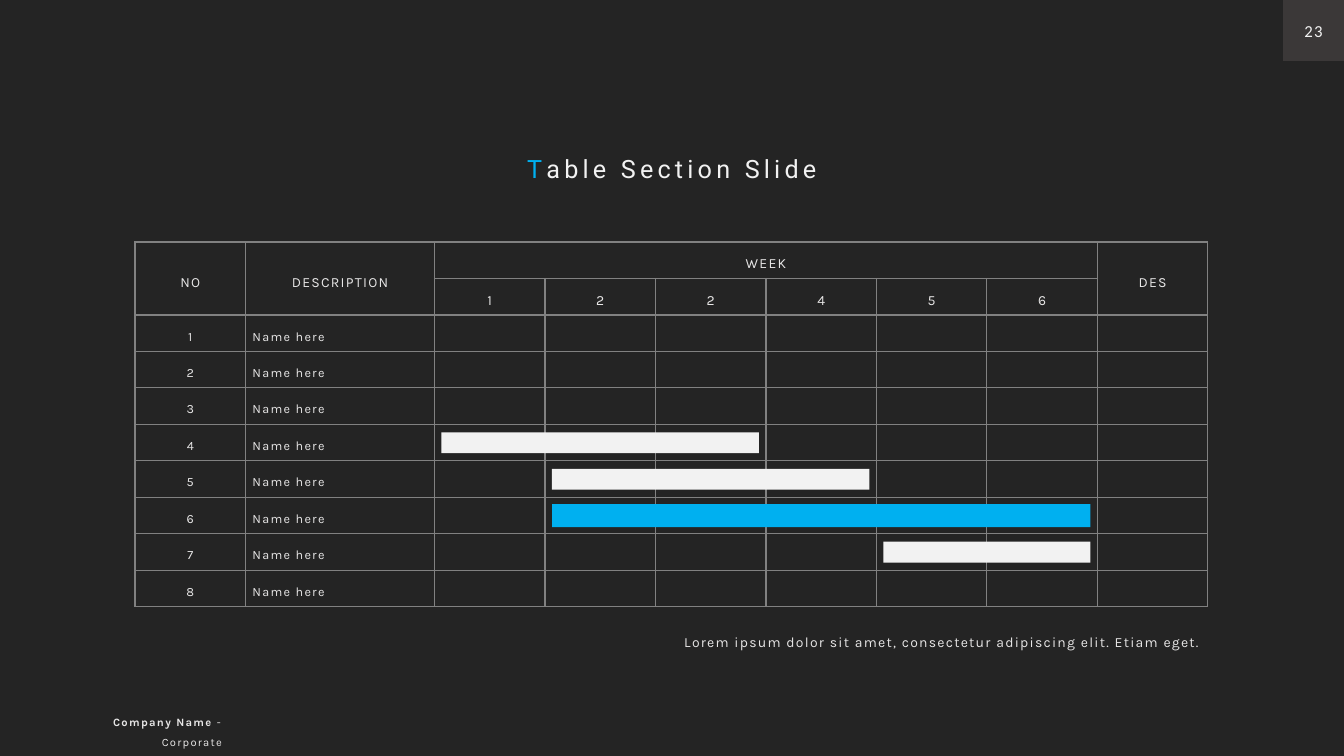
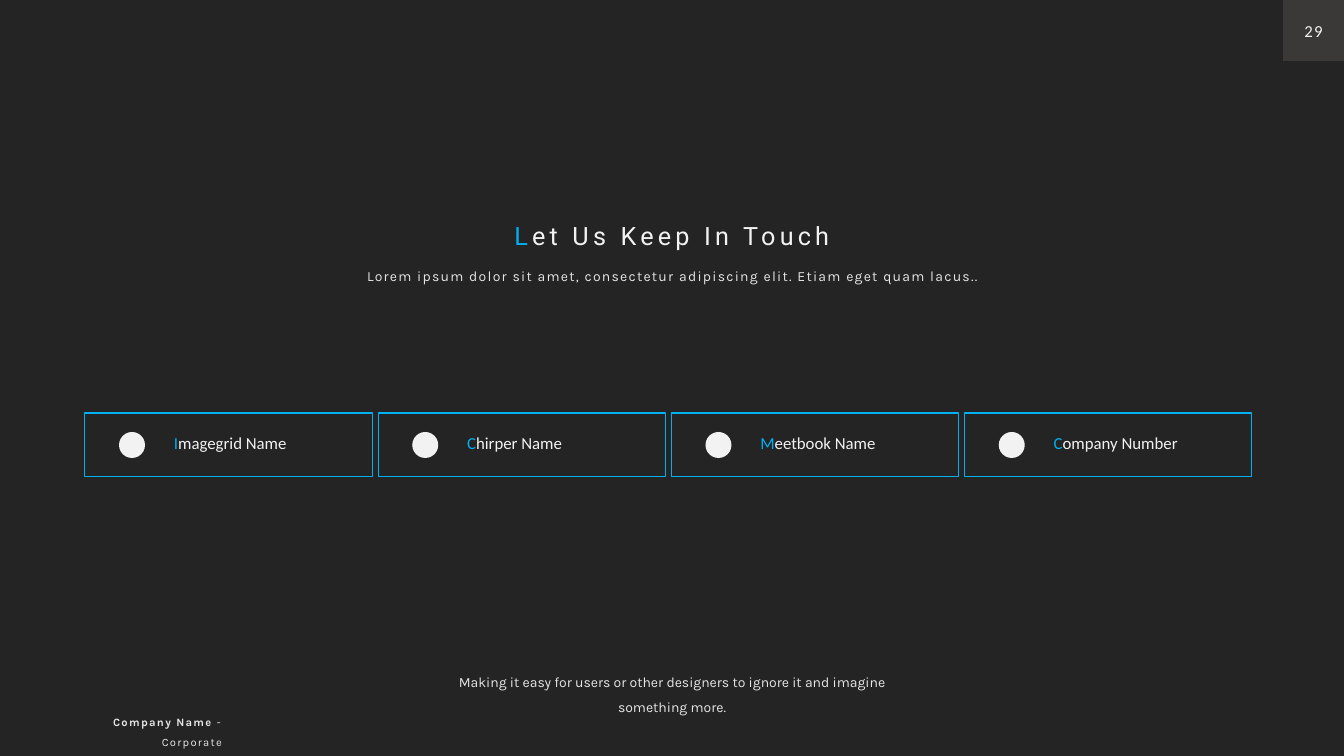
from lxml import etree
from pptx import Presentation
from pptx import util as u
from pptx.dml.color import RGBColor
from pptx.enum import shapes, text
from pptx.oxml.ns import qn

PX = 914400 / 100.8
SLIDE_W, SLIDE_H = 1344, 756
COLORS = {
    "background": "242424",
    "page": "3B3838",
    "accent": "00B0F0",
    "light": "F2F2F2",
    "body": "E7E6E6",
    "grid": "818181",
}
# Letter spacing is in hundredths of a point.
STYLES = {
    "title": {"font": {"name": "Roboto", "size": u.Pt(18)}, "spacing": 300, "color": "light"},
    "page": {"font": {"name": "Calibri", "size": u.Pt(12)}, "spacing": 90, "color": "light"},
    "contact": {"font": {"name": "Calibri", "size": u.Pt(12)}, "spacing": 0, "color": "light"},
    "body": {"font": {"name": "Karla", "size": u.Pt(10)}, "spacing": 90, "color": "body"},
    "closing": {"font": {"name": "Karla", "size": u.Pt(10)}, "spacing": 0, "color": "body"},
    "row": {"font": {"name": "Karla", "size": u.Pt(9)}, "spacing": 90, "color": "body"},
    "footer": {"font": {"name": "Karla", "size": u.Pt(8)}, "spacing": 90, "color": "body"},
    "company": {"font": {"name": "Karla", "size": u.Pt(8), "bold": True},
                "spacing": 90, "color": "body"},
}
LEFT, CENTER, RIGHT = text.PP_ALIGN.LEFT, text.PP_ALIGN.CENTER, text.PP_ALIGN.RIGHT

PAGE_SIDE = 61
TITLE_W, TITLE_H = 676, 40
FOOTER = [("Company Name ", "company"), ("- Corporate", "footer")]
FOOTER_BOX = (47, 704, 185, 28)

SCHEDULE = {
    "title": "Table Section Slide", "title_top": 148, "page": "23",
    "weeks": ["1", "2", "2", "4", "5", "6"],
    "tasks": ["Name here"] * 8,
    # task number, first week, last week, height, color
    "bars": [(4, 1, 3, 21, "light"), (5, 2, 4, 21, "light"),
             (6, 2, 6, 23, "accent"), (7, 5, 6, 21, "light")],
    "caption": "Lorem ipsum dolor sit amet, consectetur adipiscing elit. Etiam eget.",
}
TABLE_BOX = (135, 242, 1073, 365)
DESCRIPTION_W = 189
HEADER_ROWS = 2
BAR_INSET = 7

CONTACT = {
    "title": "Let Us Keep In Touch", "title_top": 215, "page": "29",
    "subtitle": "Lorem ipsum dolor sit amet, consectetur adipiscing elit. Etiam eget quam lacus..",
    "channels": ["Imagegrid Name", "Chirper Name", "Meetbook Name", "Company Number"],
    "closing": "Making it easy for users or other designers to ignore it and imagine something more.",
}
CARDS_LEFT, CARDS_RIGHT, CARDS_TOP = 85, 1252, 413
CARD_H, CARD_GAP = 64, 6
ICON_SIDE, ICON_OFFSET, NAME_OFFSET = 26, 34, 79


def px(value):
    return u.Emu(round(value * PX))


def rgb(color):
    return RGBColor.from_string(COLORS[color])


def write(frame, runs, align=LEFT, line_spacing=1.0):
    """Fill the first paragraph with (text, style, optional color) runs."""
    paragraph = frame.paragraphs[0]
    paragraph.alignment = align
    paragraph.line_spacing = line_spacing
    for words, style_name, *color in runs:
        style = STYLES[style_name]
        run = paragraph.add_run()
        run.text = words
        for attribute, value in style["font"].items():
            setattr(run.font, attribute, value)
        run.font.color.rgb = rgb(color[0] if color else style["color"])
        run._r.get_or_add_rPr().set("spc", str(style["spacing"]))


def accented(words, style):
    """Runs whose first letter stands out."""
    return [(words[0], style, "accent"), (words[1:], style)]


def add_text(slide, box, runs, align=LEFT, line_spacing=1.0):
    frame = slide.shapes.add_textbox(*map(px, box)).text_frame
    frame.word_wrap = True
    write(frame, runs, align, line_spacing)


def add_block(slide, box, fill, line=None, kind=shapes.MSO_SHAPE.RECTANGLE):
    block = slide.shapes.add_shape(kind, *map(px, box))
    block.shadow.inherit = False
    block.fill.solid()
    block.fill.fore_color.rgb = rgb(fill)
    if line:
        block.line.color.rgb = rgb(line)
        block.line.width = u.Pt(0.75)
    else:
        block.line.fill.background()
    return block


def start_slide(prs, content):
    """Add a slide with its title, page number and footer."""
    slide = prs.slides.add_slide(prs.slide_layouts[5])
    title = slide.shapes.title
    title.left, title.top, title.width, title.height = map(
        px, ((SLIDE_W - TITLE_W) / 2, content["title_top"], TITLE_W, TITLE_H))
    title.text_frame.auto_size = text.MSO_AUTO_SIZE.NONE
    title.text_frame.vertical_anchor = text.MSO_ANCHOR.TOP
    write(title.text_frame, accented(content["title"], "title"), CENTER)

    page = add_block(slide, (SLIDE_W - PAGE_SIDE, 0, PAGE_SIDE, PAGE_SIDE), "page")
    page.text_frame.vertical_anchor = text.MSO_ANCHOR.MIDDLE
    write(page.text_frame, [(content["page"], "page")], CENTER)
    add_text(slide, FOOTER_BOX, FOOTER, RIGHT, 1.5)
    return slide


def format_cell(cell):
    """Thin grid lines, no fill, middle anchor."""
    properties = cell._tc.get_or_add_tcPr()
    for side in ("lnL", "lnR", "lnT", "lnB"):
        line = etree.SubElement(properties, qn(f"a:{side}"), w=str(u.Pt(1)))
        fill = etree.SubElement(line, qn("a:solidFill"))
        etree.SubElement(fill, qn("a:srgbClr"), val=COLORS["grid"])
    cell.fill.background()
    cell.vertical_anchor = text.MSO_ANCHOR.MIDDLE
    cell.margin_left = cell.margin_right = px(7)
    cell.margin_top = cell.margin_bottom = 0


def build_schedule(prs):
    slide = start_slide(prs, SCHEDULE)
    weeks, tasks = SCHEDULE["weeks"], SCHEDULE["tasks"]
    row_count, column_count = HEADER_ROWS + len(tasks), len(weeks) + 3
    left, top, width, height = TABLE_BOX
    row_h = height / row_count
    column_w = (width - DESCRIPTION_W) / (column_count - 1)

    table = slide.shapes.add_table(row_count, column_count, *map(px, TABLE_BOX)).table
    table.first_row = table.horz_banding = False
    for column in table.columns:
        column.width = px(column_w)
    table.columns[1].width = px(DESCRIPTION_W)
    for row in table.rows:
        row.height = px(row_h)
    for cell in table.iter_cells():
        format_cell(cell)

    last = column_count - 1
    for column in (0, 1, last):
        table.cell(0, column).merge(table.cell(1, column))
    table.cell(0, 2).merge(table.cell(0, last - 1))

    entries = [(0, 0, "NO", "body", CENTER), (0, 1, "DESCRIPTION", "body", CENTER),
               (0, 2, "WEEK", "body", CENTER), (0, last, "DES", "body", CENTER)]
    entries += [(1, i, week, "body", CENTER) for i, week in enumerate(weeks, 2)]
    for number, task in enumerate(tasks, 1):
        row = HEADER_ROWS + number - 1
        entries += [(row, 0, str(number), "row", CENTER), (row, 1, task, "row", LEFT)]
    for row, column, words, style, align in entries:
        write(table.cell(row, column).text_frame, [(words, style)], align, 1.5)

    weeks_left = left + column_w + DESCRIPTION_W
    for task, first, final, bar_h, color in SCHEDULE["bars"]:
        row_top = top + (HEADER_ROWS + task - 1) * row_h
        add_block(slide, (weeks_left + (first - 1) * column_w + BAR_INSET,
                          row_top + (row_h - bar_h) / 2,
                          (final - first + 1) * column_w - 2 * BAR_INSET, bar_h), color)
    add_text(slide, (617, 620, 592, 33), [(SCHEDULE["caption"], "body")], RIGHT, 1.5)


def build_contact(prs):
    slide = start_slide(prs, CONTACT)
    add_text(slide, (356, 254, 633, 32), [(CONTACT["subtitle"], "body")], CENTER, 1.5)
    channels = CONTACT["channels"]
    pitch = (CARDS_RIGHT - CARDS_LEFT + CARD_GAP) / len(channels)
    for i, channel in enumerate(channels):
        left = CARDS_LEFT + i * pitch
        add_block(slide, (left, CARDS_TOP, pitch - CARD_GAP, CARD_H), "background", "accent")
        add_block(slide, (left + ICON_OFFSET, CARDS_TOP + (CARD_H - ICON_SIDE) / 2,
                          ICON_SIDE, ICON_SIDE), "light", kind=shapes.MSO_SHAPE.OVAL)
        add_text(slide, (left + NAME_OFFSET, CARDS_TOP + 15, 200, 30),
                 accented(channel, "contact"))
    add_text(slide, (416, 660, 512, 32), [(CONTACT["closing"], "closing")], CENTER, 1.5)


def main():
    prs = Presentation()
    prs.slide_width, prs.slide_height = px(SLIDE_W), px(SLIDE_H)
    background = prs.slide_master.background.fill
    background.solid()
    background.fore_color.rgb = rgb("background")
    build_schedule(prs)
    build_contact(prs)
    prs.save("out.pptx")


if __name__ == "__main__":
    main()
